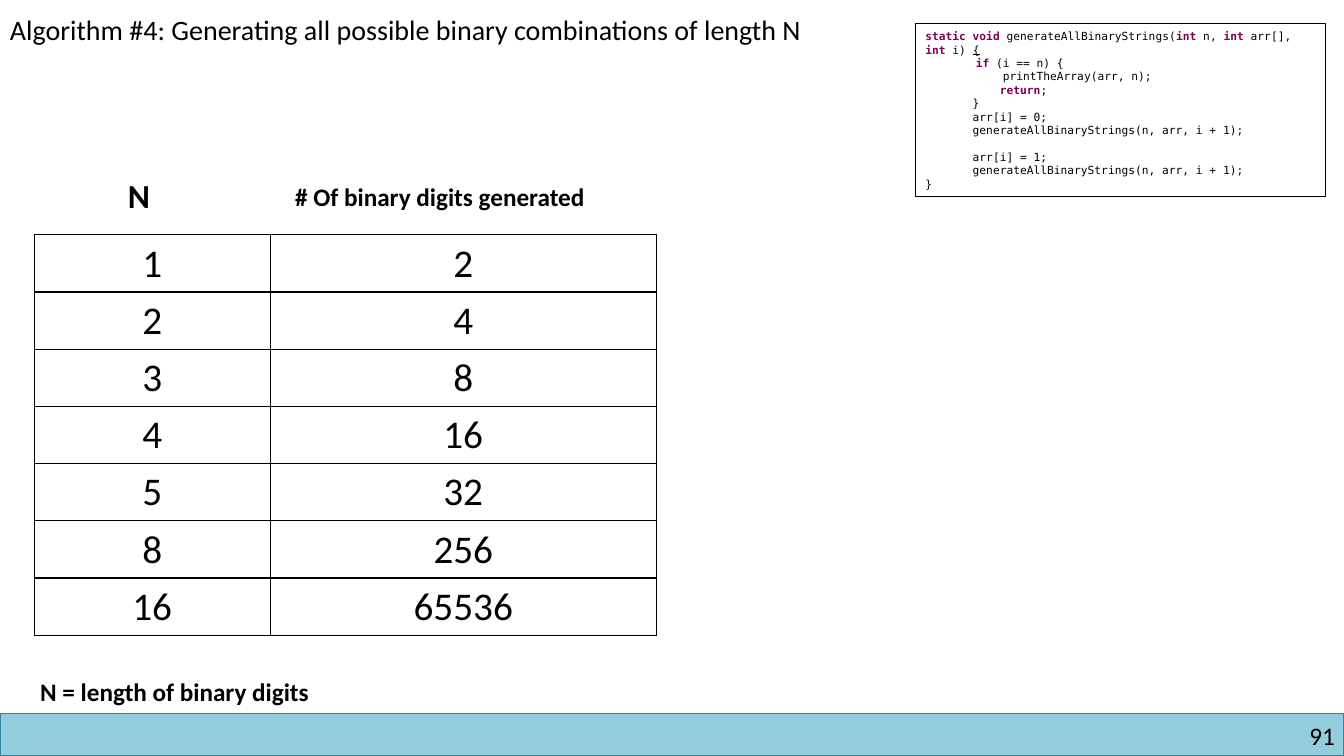
from lxml.etree import SubElement
from pptx import Presentation
from pptx.dml.color import RGBColor
from pptx.enum.shapes import MSO_SHAPE
from pptx.enum.text import PP_ALIGN
from pptx.oxml.ns import qn
from pptx.util import Inches, Pt

THEME = {
    "text": RGBColor(0, 0, 0),
    "white": RGBColor(0xFF, 0xFF, 0xFF),
    "keyword": RGBColor(0x7F, 0x00, 0x55),
    "band": RGBColor(0x93, 0xCD, 0xDD),
    "band_line": RGBColor(0x31, 0x85, 0x9C),
    "border": "000000",
    "body_font": "Calibri",
    "code_font": "DejaVu Sans Mono",
    "title": Pt(20),
    "label": Pt(18),
    "column": Pt(24),
    "cell": Pt(28),
    "code": Pt(8),
}


def add_span(para, text, size, **extra):
    span = para.add_run()
    span.text = text
    formats = {"size": size, "name": THEME["body_font"], "bold": False, **extra}
    span.font.color.rgb = formats.pop("color", THEME["text"])
    for name, value in formats.items():
        setattr(span.font, name, value)


def add_rectangle(place, line, weight):
    shape = page.shapes.add_shape(MSO_SHAPE.RECTANGLE, *map(Inches, place))
    shape.shadow.inherit = False
    shape.line.color.rgb = line
    shape.line.width = Pt(weight)
    return shape


deck = Presentation()
deck.slide_width = Inches(13.33)
deck.slide_height = Inches(7.5)
page = deck.slides.add_slide(deck.slide_layouts[6])

# Footer band
band = add_rectangle((0, 7.08, 13.33, 0.42), THEME["band_line"], 1)
band.fill.solid()
band.fill.fore_color.rgb = THEME["band"]

# Page number
number_box = page.shapes.add_textbox(*map(Inches, (10.17, 7.15, 3.07, 0.3)))
number_frame = number_box.text_frame
for side in ("left", "top", "right", "bottom"):
    setattr(number_frame, f"margin_{side}", 0)
number_frame.word_wrap = True
number_para = number_frame.paragraphs[0]
number_para.alignment = PP_ALIGN.RIGHT
add_span(number_para, "91", THEME["label"])

# Title, column headings and footnote
labels = [
    ("Algorithm #4: Generating all possible binary combinations of length N",
     (0, 0.08, 8.79, 0.44), "title", False),
    ("N", (1.17, 1.69, 0.45, 0.5), "column", True),
    ("# Of binary digits generated", (2.83, 1.75, 3.54, 0.4), "label", True),
    ("N = length of binary digits", (0.3, 6.66, 3.31, 0.4), "label", True),
]
for text, place, size, bold in labels:
    box = page.shapes.add_textbox(*map(Inches, place))
    box.text_frame.word_wrap = False
    add_span(box.text_frame.paragraphs[0], text, THEME[size], bold=bold)

# Code listing: each line is a list of (text, style) spans
code_lines = [
    [("static void ", "keyword"), ("generateAllBinaryStrings(", ""),
     ("int", "keyword"), (" n, ", ""), ("int ", "keyword"), ("arr[], ", ""),
     ("int ", "keyword"), ("i) ", ""), ("{", "underline")],
    [("\tif", "keyword"), (" (i == n) {", "")],
    [("\t    printTheArray(arr, n);", "")],
    [("           return", "keyword"), (";", "")],
    [("       }", "")],
    [("       arr[i] = 0;", "")],
    [("       generateAllBinaryStrings(n, arr, i + 1);", "")],
    [("       arr[i] = 1;", "")],
    [("       generateAllBinaryStrings(n, arr, i + 1);", "")],
    [("}", "")],
]
code_styles = {
    "": {},
    "keyword": {"color": THEME["keyword"], "bold": True},
    "underline": {"underline": True},
}
code_box = add_rectangle((9.08, 0.23, 4.07, 1.72), THEME["text"], 0.75)
code_box.fill.background()
code_frame = code_box.text_frame
code_frame.word_wrap = True
for index, line in enumerate(code_lines):
    para = code_frame.add_paragraph() if index else code_frame.paragraphs[0]
    para.alignment = PP_ALIGN.LEFT
    if line[0][0].strip() == "arr[i] = 1;":
        para.space_before = Pt(9.5)
    for text, style in line:
        add_span(para, text, THEME["code"], name=THEME["code_font"], **code_styles[style])

# Table of combination counts, 2 to the power N
lengths = [1, 2, 3, 4, 5, 8, 16]
table = page.shapes.add_table(
    len(lengths), 2, *map(Inches, (0.34, 2.33, 6.17, 3.97))).table
table.first_row = False
table.horz_banding = False
for column, width in zip(table.columns, (2.34, 3.83)):
    column.width = Inches(width)
for row, length in enumerate(lengths):
    for column, value in enumerate((length, 2 ** length)):
        cell = table.cell(row, column)
        para = cell.text_frame.paragraphs[0]
        para.alignment = PP_ALIGN.CENTER
        add_span(para, str(value), THEME["cell"])
        properties = cell._tc.get_or_add_tcPr()
        for edge in ("a:lnL", "a:lnR", "a:lnT", "a:lnB"):
            border = SubElement(properties, qn(edge), w=str(Pt(1)))
            fill = SubElement(border, qn("a:solidFill"))
            SubElement(fill, qn("a:srgbClr"), val=THEME["border"])
        cell.fill.solid()
        cell.fill.fore_color.rgb = THEME["white"]

deck.save("out.pptx")
